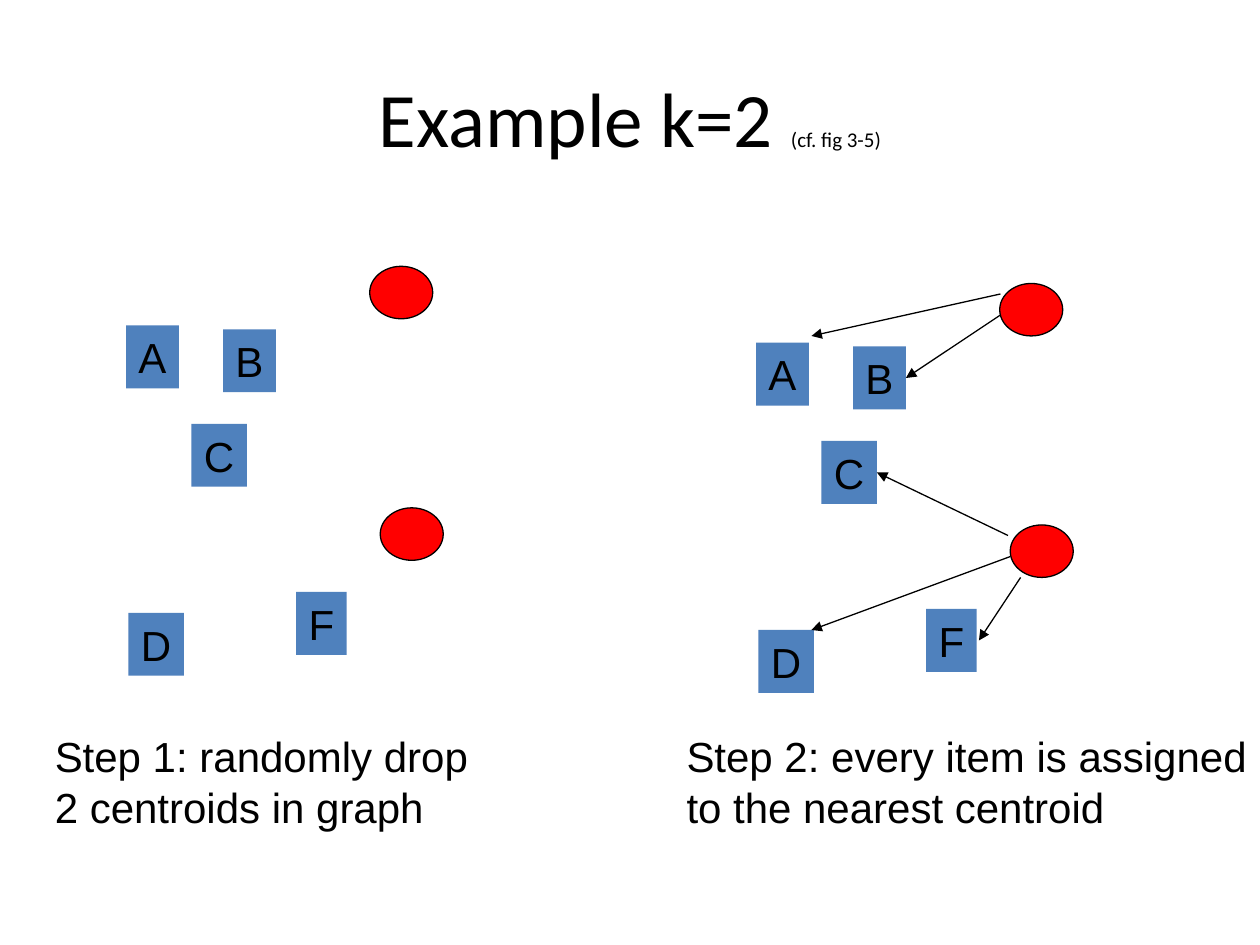
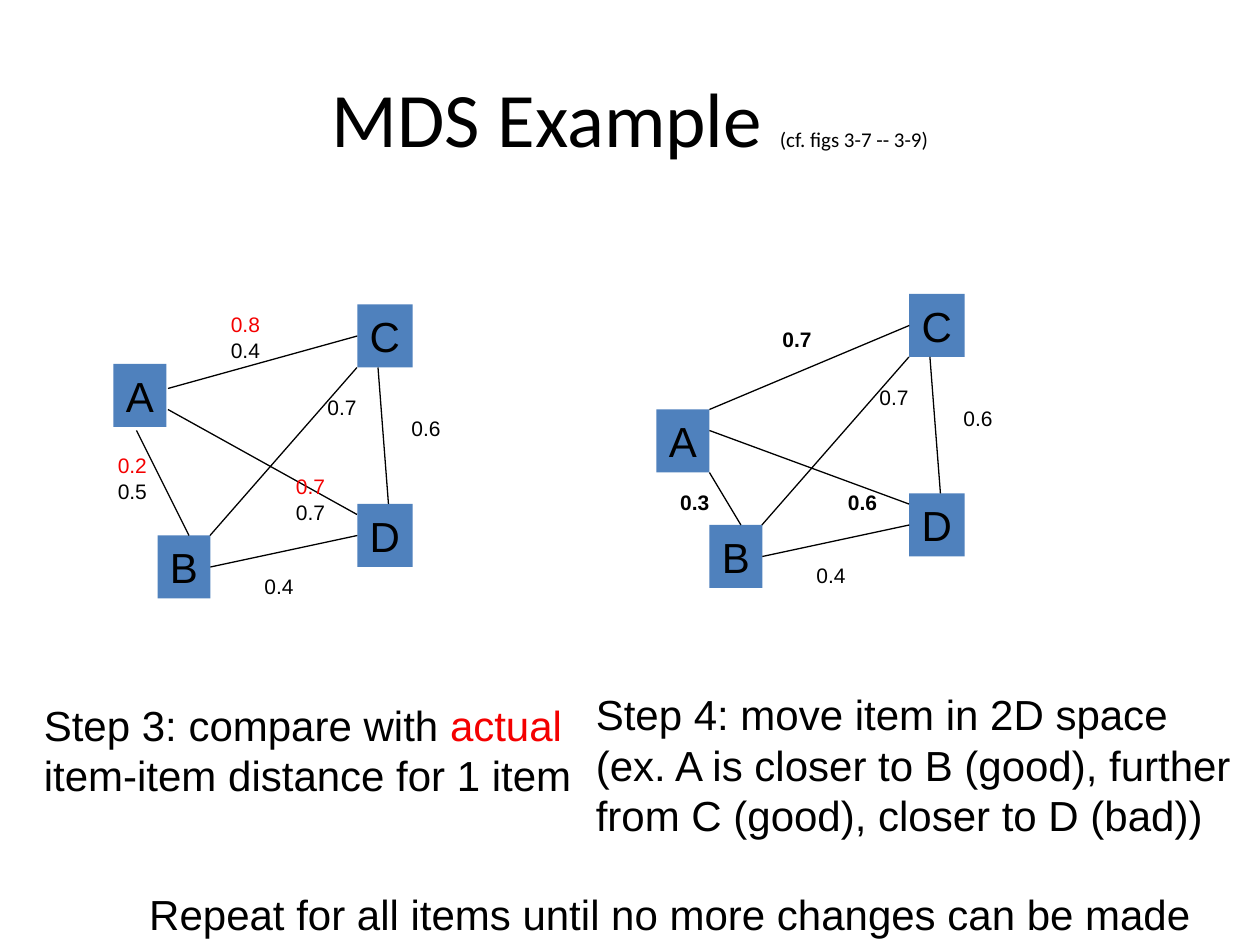
import pptx
import pptx.util
import pptx.dml.color
import pptx.enum.shapes
import pptx.enum.text
import pptx.oxml
import pptx.oxml.ns

Pt = pptx.util.Pt
RGBColor = pptx.dml.color.RGBColor
Shapes = pptx.enum.shapes.MSO_SHAPE
Anchor = pptx.enum.text.MSO_ANCHOR
Align = pptx.enum.text.PP_ALIGN

BLACK = RGBColor(0x00, 0x00, 0x00)
BLUE = RGBColor(0x4F, 0x81, 0xBD)
RED = RGBColor(0xFF, 0x00, 0x00)
TEXT_RED = RGBColor(0xF4, 0x00, 0x00)

TOP, LEFT, RIGHT = 0, 1, 3  # connection sites of a rectangle
NODE_WIDTHS = {"A": 30.24, "B": 30.24, "C": 31.68, "D": 31.68, "F": 28.8}
NODE_HEIGHT = 36


def add_span(para, text, size=24, font="Arial", color=BLACK, bold=False):
    span = para.add_run()
    span.text = text
    span.font.size = Pt(size)
    span.font.name = font
    span.font.color.rgb = color
    span.font.bold = bold


class Board:
    """Holds the deck, the current page and the shared style."""

    def __init__(self):
        self.deck = pptx.Presentation()
        self.deck.slide_width, self.deck.slide_height = Pt(720), Pt(540)
        self.page = None

    def new_page(self, title, reference):
        self.page = self.deck.slides.add_slide(self.deck.slide_layouts[5])
        box = self.page.shapes.title
        box.left, box.top, box.width, box.height = Pt(36), Pt(21.6), Pt(648), Pt(90)
        box.text_frame.vertical_anchor = Anchor.MIDDLE
        para = box.text_frame.paragraphs[0]
        para.alignment = Align.CENTER
        add_span(para, title + " ", size=44, font="Calibri")
        add_span(para, reference, size=12, font="Calibri")

    def fill_text(self, box, lines, size=24, **style):
        """Each line is a list of (text, color) pairs."""
        frame = box.text_frame
        frame.word_wrap = False
        frame.auto_size = pptx.enum.text.MSO_AUTO_SIZE.SHAPE_TO_FIT_TEXT
        frame.vertical_anchor = Anchor.TOP
        for index, line in enumerate(lines):
            para = frame.add_paragraph() if index else frame.paragraphs[0]
            para.alignment = Align.LEFT
            para.line_spacing = Pt(1.2 * size)
            for text, color in line:
                add_span(para, text, size=size, color=color, **style)

    def text(self, left, top, width, height, lines, **style):
        box = self.page.shapes.add_textbox(Pt(left), Pt(top), Pt(width), Pt(height))
        self.fill_text(box, lines, **style)

    def caption(self, left, top, width, height, *lines):
        self.text(left, top, width, height,
                  [[(line, BLACK)] if isinstance(line, str) else line for line in lines])

    def distance(self, left, top, value, color=BLACK, bold=False):
        self.text(left, top, 31.2, 21.6, [[(value, color)]], size=12, bold=bold)

    def shape(self, kind, left, top, width, height, fill):
        shape = self.page.shapes.add_shape(kind, Pt(left), Pt(top), Pt(width), Pt(height))
        shape.shadow.inherit = False
        shape.fill.solid()
        shape.fill.fore_color.rgb = fill
        shape.line.fill.background()
        return shape

    def node(self, letter, left, top):
        box = self.shape(Shapes.RECTANGLE, left, top, NODE_WIDTHS[letter], NODE_HEIGHT, BLUE)
        self.fill_text(box, [[(letter, BLACK)]])
        return box

    def centroid(self, left, top):
        oval = self.shape(Shapes.OVAL, left, top, 36, 30, RED)
        oval.line.color.rgb = BLACK
        oval.line.width = Pt(0.75)

    def line(self, start, end, arrow=False):
        """An end is either a point or a (shape, connection site) pair."""
        points = [(0, 0) if hasattr(spot[0], "left") else spot for spot in (start, end)]
        line = self.page.shapes.add_connector(
            pptx.enum.shapes.MSO_CONNECTOR.STRAIGHT,
            *(Pt(value) for point in points for value in point))
        for spot, join in ((start, line.begin_connect), (end, line.end_connect)):
            if hasattr(spot[0], "left"):
                join(*spot)
        line.line.color.rgb = BLACK
        line.line.width = Pt(0.75)
        properties = line._element.spPr
        if arrow:
            tail = pptx.oxml.ns.qn("a:tailEnd")
            properties.find(pptx.oxml.ns.qn("a:ln")).append(
                properties.makeelement(tail, {"type": "triangle"}))
        properties.append(properties.makeelement(pptx.oxml.ns.qn("a:effectLst"), {}))


def draw_items(board, dx, dy):
    """Items and the two centroids of one clustering step."""
    places = {"A": (72, 186), "B": (127.44, 188.2), "C": (109.44, 242.2),
              "D": (73.44, 350.2), "F": (169.3, 338.2)}
    nodes = {letter: board.node(letter, left + dx, top + dy)
             for letter, (left, top) in places.items()}
    for left, top in ((211.3, 152.2), (217.3, 290.2)):
        board.centroid(left + dx, top + dy)
    return nodes


def draw_map(board, dx, dy, a_place, a_to_b, a_to_c, a_to_d):
    """Distance map: B, C and D keep their arrangement while A moves."""
    board.node("A", *a_place)
    places = {"B": (90, 306), "C": (204.2, 174), "D": (204.2, 288)}
    nodes = {letter: board.node(letter, left + dx, top + dy)
             for letter, (left, top) in places.items()}
    board.line(a_to_c, (nodes["C"], LEFT))
    board.line(a_to_b, (108 + dx, 306 + dy))
    board.line((216 + dx, 210 + dy), (222 + dx, 288 + dy))
    board.line((nodes["B"], RIGHT), (nodes["D"], LEFT))
    board.line(a_to_d, (204 + dx, 294 + dy))
    board.line((120 + dx, 306 + dy), (204 + dx, 210 + dy))
    for left, top, value in ((228, 234, "0.6"), (144, 324, "0.4"), (180, 222, "0.7")):
        board.distance(left + dx, top + dy, value)


def clustering_page(board):
    board.new_page("Example k=2", "(cf. fig 3-5)")

    # Step 1: drop the centroids
    draw_items(board, 0, 0)
    board.caption(24.2, 414, 250.6, 64.8, "Step 1: randomly drop", "2 centroids in graph")

    # Step 2: assign the items
    nodes = draw_items(board, 360, 9.8)
    board.caption(385.2, 414, 334.8, 64.8,
                  "Step 2: every item is assigned", "to the nearest centroid")
    for start, end in (((583.2, 330), (559.4, 366)),
                       ((577.4, 318), (463.7, 360)),
                       ((576, 306), (nodes["C"], RIGHT)),
                       ((571.7, 180), (nodes["B"], RIGHT)),
                       ((571.7, 168), (463.7, 192))):
        board.line(start, end, arrow=True)


def scaling_page(board):
    board.new_page("MDS Example", "(cf. figs 3-7 -- 3-9)")

    # Step 3: drawn distances in black, actual ones above them in red
    draw_map(board, 0, 0, (64.8, 208), (78, 246), (96, 222), (96, 234))
    for left, top, drawn, actual in ((124.8, 189.4, "0.4", "0.8"),
                                     (60.2, 270, "0.5", "0.2"),
                                     (162, 282.2, "0.7", "0.7")):
        board.distance(left, top, drawn)
        board.distance(left, top - 15.1, actual, color=TEXT_RED)
    board.caption(18, 396, 323.2, 64.8,
                  [("Step 3: compare with ", BLACK), ("actual", TEXT_RED)],
                  "item-item distance for 1 item")

    # Step 4: A has moved, its new distances are bold
    draw_map(board, 315.4, -6, (375.1, 234), (405.4, 270), (405.4, 234), (405.4, 246))
    for left, top, value in ((440, 183, "0.7"), (381.6, 276, "0.3"), (477.4, 276, "0.6")):
        board.distance(left, top, value, bold=True)
    board.caption(333.4, 390, 386.6, 122.4, "Step 4: move item in 2D space",
                  "(ex. A is closer to B (good), further",
                  "from C (good), closer to D (bad))")

    # Closing remark
    board.caption(78.2, 504, 612, 36,
                  "Repeat for all items until no more changes can be made")


def main():
    board = Board()
    clustering_page(board)
    scaling_page(board)
    board.deck.save("out.pptx")


if __name__ == "__main__":
    main()
